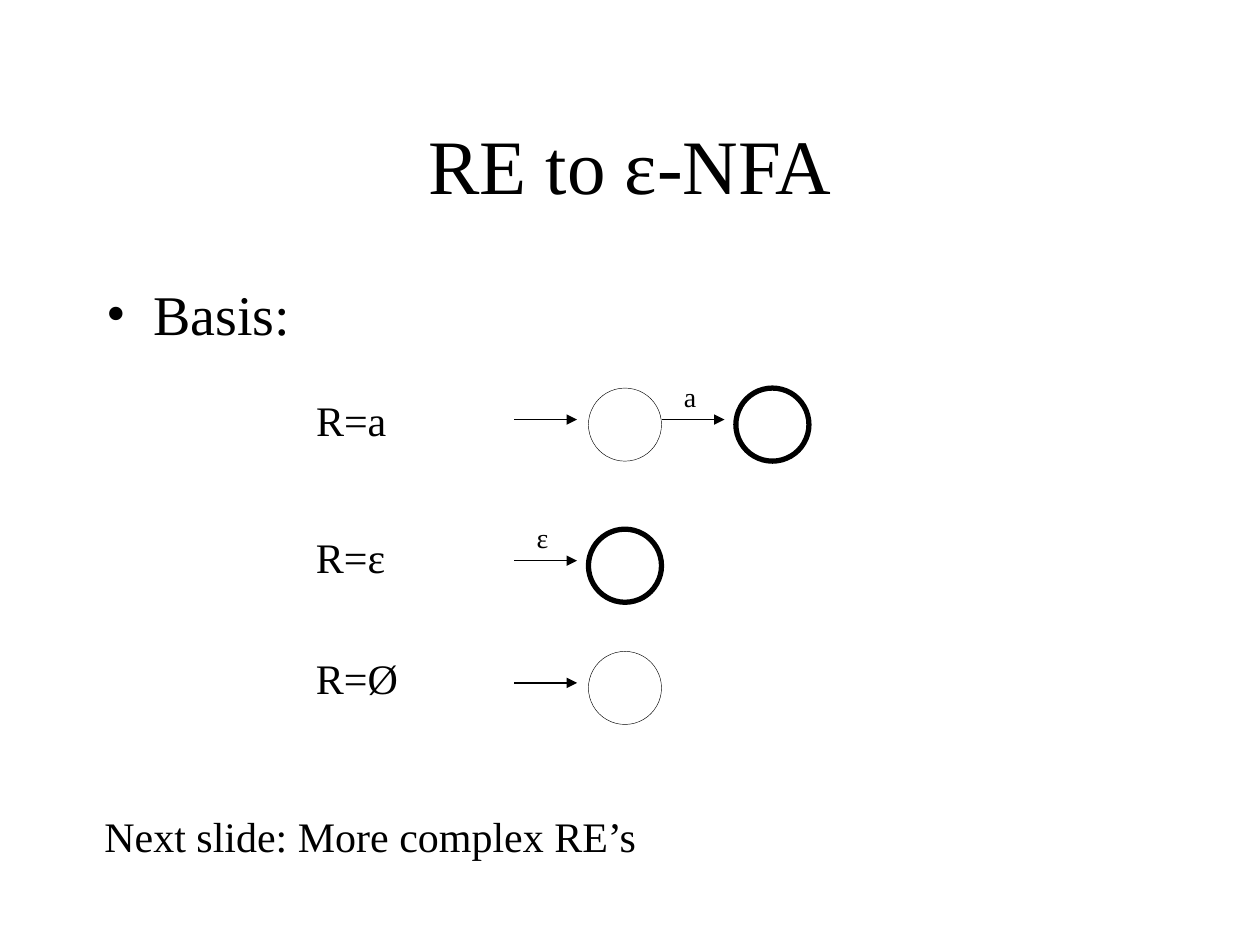
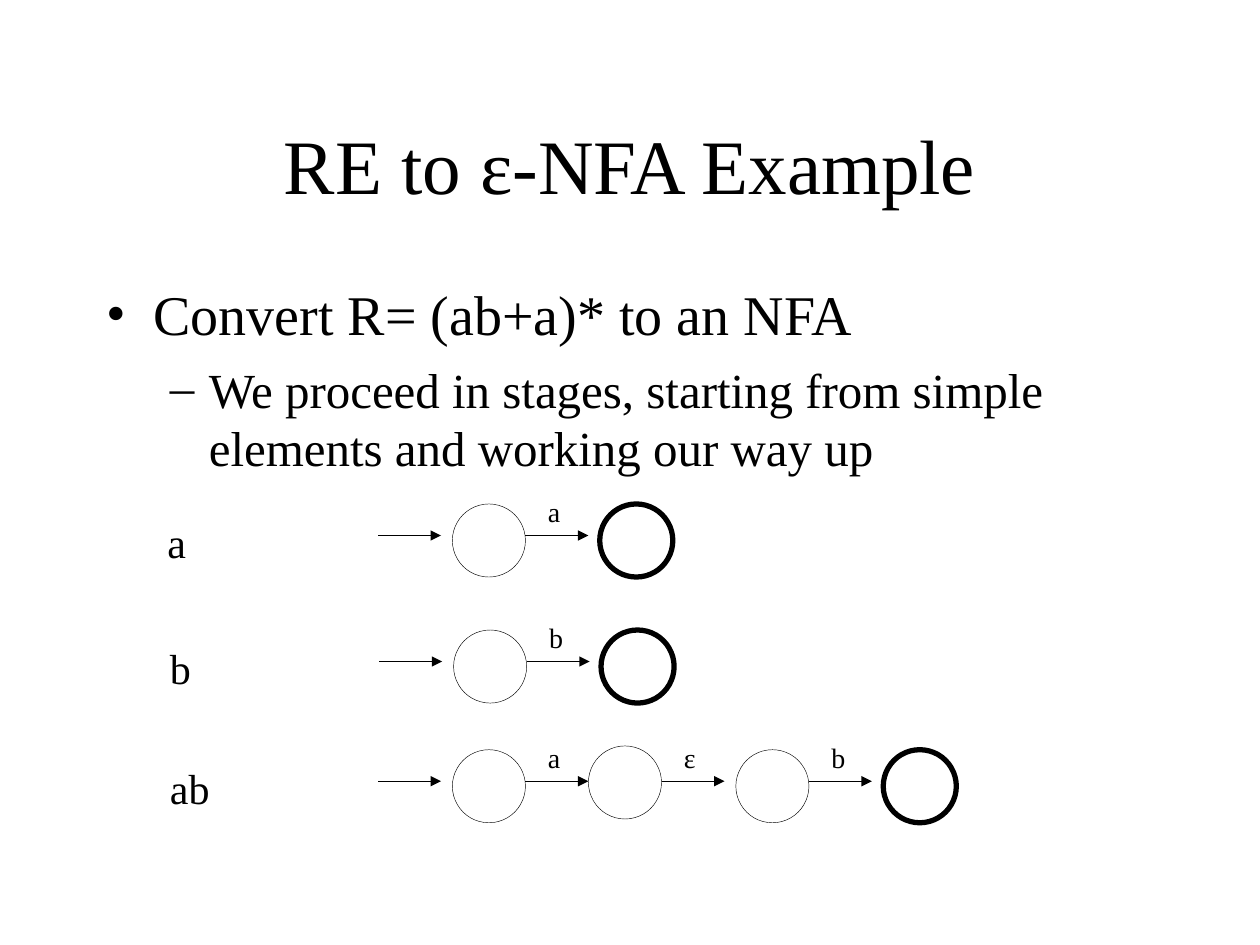
from dataclasses import dataclass

from lxml import etree
from pptx import Presentation
from pptx.dml.color import RGBColor
from pptx.enum.shapes import MSO_CONNECTOR, MSO_SHAPE
from pptx.enum.text import MSO_ANCHOR, MSO_AUTO_SIZE, PP_ALIGN
from pptx.oxml.ns import qn
from pptx.util import Inches, Pt

COLORS = {"background": "FFFFFF", "ink": "000000"}
FONT = "Times New Roman"
TITLE_BOX = (0.75, 0.67, 8.5, 1.25)
BODY_BOX = (0.75, 2.17, 8.5, 4.5)

STATE_SIZE = 0.58
ARROW_LENGTH = 0.5
ARROW_DROP = 0.25
STATE_GAP = 0.59
LABEL_OFFSET = (0.08, -0.12)

# Per outline level: bullet, font size, space before, left margin, hanging indent
LEVELS = [("•", 32, 8, 0.37, 0.37), ("–", 28, 7, 0.81, 0.31)]


@dataclass
class State:
    """A state with the label of the arrow that leads to it."""
    label: str = ""
    accepting: bool = False
    gap: float = STATE_GAP
    rise: float = 0


def color(name):
    return RGBColor.from_string(COLORS[name])


def format_paragraph(paragraph, text, size, align=PP_ALIGN.LEFT):
    paragraph.alignment = align
    run = paragraph.add_run()
    run.text = text
    run.font.size = Pt(size)
    run.font.name = FONT
    run.font.color.rgb = color("ink")


def add_box(slide, box):
    return slide.shapes.add_textbox(*map(Inches, box)).text_frame


def add_text(slide, text, box, size=24, align=PP_ALIGN.LEFT,
             anchor=MSO_ANCHOR.TOP, wrap=False):
    frame = add_box(slide, box)
    frame.word_wrap = wrap
    frame.auto_size = MSO_AUTO_SIZE.NONE if wrap else MSO_AUTO_SIZE.SHAPE_TO_FIT_TEXT
    frame.vertical_anchor = anchor
    format_paragraph(frame.paragraphs[0], text, size, align)


def add_outline(slide, items, box=BODY_BOX):
    """Write one bulleted paragraph per item, each a level deeper."""
    frame = add_box(slide, box)
    frame.word_wrap = True
    for level, (text, style) in enumerate(zip(items, LEVELS)):
        bullet, size, space, margin, hanging = style
        paragraph = frame.add_paragraph() if level else frame.paragraphs[0]
        paragraph.level = level
        paragraph.space_before = Pt(space)
        format_paragraph(paragraph, text, size)
        properties = paragraph._p.get_or_add_pPr()
        properties.set("marL", str(Inches(margin)))
        properties.set("indent", str(-Inches(hanging)))
        etree.SubElement(properties, qn("a:buFont"), typeface=FONT)
        etree.SubElement(properties, qn("a:buChar"), char=bullet)


def add_arrow(slide, left, top):
    arrow = slide.shapes.add_connector(
        MSO_CONNECTOR.STRAIGHT,
        *map(Inches, (left, top, left + ARROW_LENGTH, top)))
    arrow.line.color.rgb = color("ink")
    arrow.line.width = Pt(0.75)
    etree.SubElement(arrow.line._get_or_add_ln(), qn("a:tailEnd"), type="triangle")
    etree.SubElement(arrow._element.spPr, qn("a:effectLst"))


def add_state(slide, left, top, accepting):
    circle = slide.shapes.add_shape(
        MSO_SHAPE.OVAL, *map(Inches, (left, top, STATE_SIZE, STATE_SIZE)))
    circle.shadow.inherit = False
    circle.fill.background()
    circle.line.color.rgb = color("ink")
    circle.line.width = Pt(3 if accepting else 0.25)


def add_automaton(slide, left, top, states):
    """Chain arrow, label and state from left to right."""
    label_left, label_top = LABEL_OFFSET
    for state in states:
        add_arrow(slide, left, top + ARROW_DROP)
        if state.label:
            add_text(slide, state.label,
                     (left + label_left, top + label_top, 0.32, 0.37), size=16)
        left += state.gap
        add_state(slide, left, top - state.rise, state.accepting)
        left += STATE_SIZE


def add_slide(presentation, title, outline):
    slide = presentation.slides.add_slide(presentation.slide_layouts[6])
    slide.background.fill.solid()
    slide.background.fill.fore_color.rgb = color("background")
    add_text(slide, title, TITLE_BOX, size=44, align=PP_ALIGN.CENTER,
             anchor=MSO_ANCHOR.MIDDLE, wrap=True)
    add_outline(slide, outline)
    return slide


def add_basis_slide(presentation):
    slide = add_slide(presentation, "RE to ε-NFA", ["Basis:"])
    rows = [
        ("R=a", (2.41, 3.08, 0.78, 0.5), 3.08, [State(), State("a", True)]),
        ("R=ε", (2.41, 4.17, 0.77, 0.5), 4.2, [State("ε", True)]),
        ("R=Ø", (2.41, 5.13, 0.87, 0.5), 5.17, [State()]),
    ]
    for expression, box, top, states in rows:
        add_text(slide, expression, box)
        add_automaton(slide, 4.08, top, states)
    add_text(slide, "Next slide: More complex RE’s", (0.73, 6.38, 4.46, 0.5))


def add_example_slide(presentation):
    slide = add_slide(presentation, "RE to ε-NFA Example", [
        "Convert R= (ab+a)* to an NFA",
        "We proceed in stages, starting from simple elements and working our way up",
    ])
    joined = [State(), State("a", gap=ARROW_LENGTH, rise=0.03),
              State("ε"), State("b", True)]
    rows = [
        ("a", (1.23, 4.05, 0.37, 0.5), 3, 4, [State(), State("a", True)]),
        ("b", (1.25, 5.05, 0.38, 0.5), 3.01, 5, [State(), State("b", True)]),
        ("ab", (1.25, 6, 0.55, 0.5), 3, 5.95, joined),
    ]
    for expression, box, left, top, states in rows:
        add_text(slide, expression, box)
        add_automaton(slide, left, top, states)


def main():
    presentation = Presentation()
    presentation.slide_width = Inches(10)
    presentation.slide_height = Inches(7.5)
    add_basis_slide(presentation)
    add_example_slide(presentation)
    presentation.save("out.pptx")


if __name__ == "__main__":
    main()
